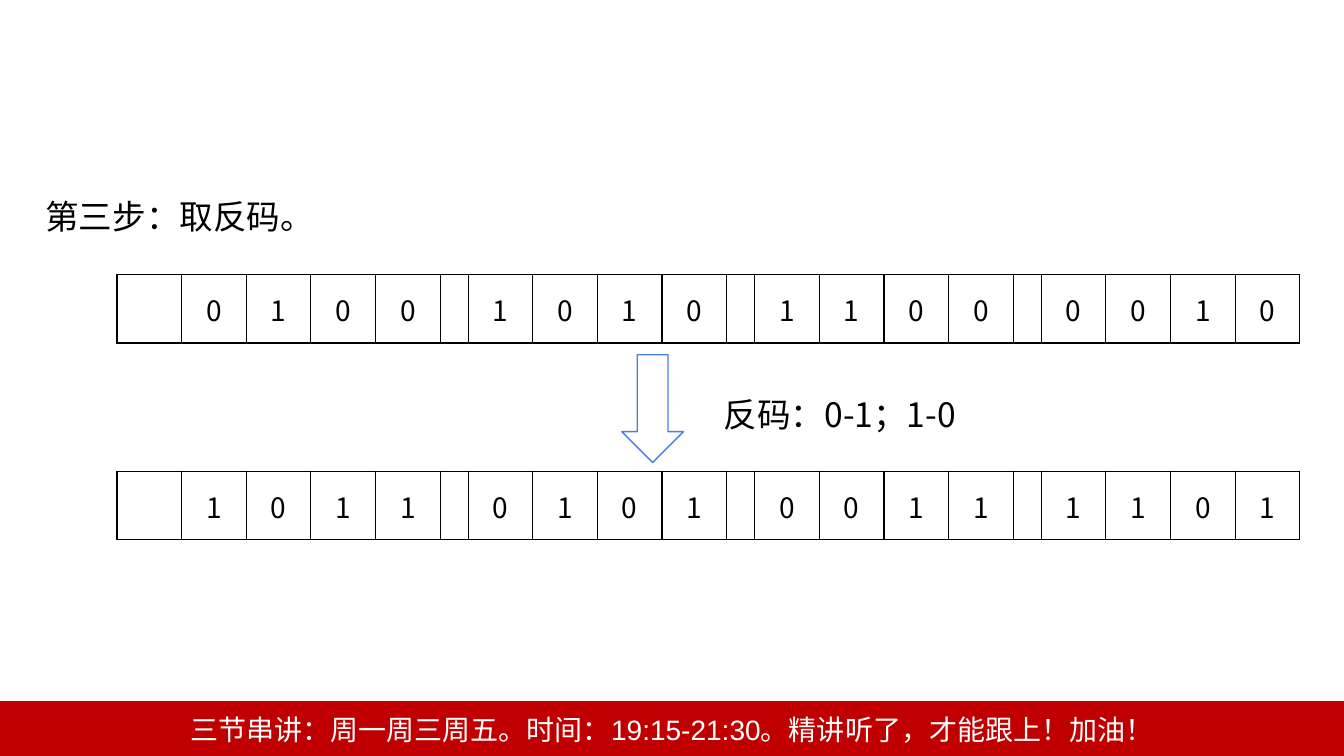
from dataclasses import dataclass

from lxml.etree import SubElement
from pptx import Presentation
from pptx.dml.color import RGBColor
from pptx.enum.shapes import MSO_SHAPE
from pptx.enum.text import MSO_ANCHOR, MSO_AUTO_SIZE, PP_ALIGN
from pptx.oxml.ns import qn
from pptx.slide import Slide
from pptx.table import _Cell
from pptx.text.text import TextFrame
from pptx.util import Pt

CJK = "Noto Sans CJK SC"
BLACK, WHITE, RED, BLUE = "000000", "FFFFFF", "C00000", "477DEA"
BIT_WIDTH, GAP_WIDTH, ROW_HEIGHT = 46.18, 20, 49


@dataclass
class BitRow:
    top: float
    nibbles: str


@dataclass
class Block:
    kind: MSO_SHAPE
    left: float
    top: float
    width: float
    height: float
    fill: str
    line: str
    text: str = ""


BIT_ROWS = [
    BitRow(196, "0100 1010 1100 0010"),
    BitRow(336.5, "1011 0101 0011 1101"),
]
BLOCKS = [
    Block(MSO_SHAPE.DOWN_ARROW, 444.2, 253.4, 44, 77, WHITE, BLUE),
    Block(MSO_SHAPE.RECTANGLE, 0, 501.3, 960, 38.7, RED, RED,
          "三节串讲：周一周三周五。时间：19:15-21:30。精讲听了，才能跟上！加油！"),
]


def rgb(value: str) -> RGBColor:
    return RGBColor.from_string(value)


def write(tf: TextFrame, text: str, size: float, color: str, align: PP_ALIGN,
          font: str = CJK, spacing: float = 1.0) -> None:
    p = tf.paragraphs[0]
    p.text = text
    p.alignment = align
    p.line_spacing = spacing
    p.font.size = Pt(size)
    p.font.color.rgb = rgb(color)
    p.font.name = font
    rpr = p._p.pPr.find(qn("a:defRPr"))
    SubElement(rpr, qn("a:ea")).set("typeface", CJK)


def write_label(s, left: float, top: float, width: float, text: str) -> None:
    s.left, s.top, s.width, s.height = Pt(left), Pt(top), Pt(width), Pt(51)
    tf = s.text_frame
    tf.word_wrap = True
    tf.auto_size = MSO_AUTO_SIZE.NONE
    tf.vertical_anchor = MSO_ANCHOR.TOP
    write(tf, text, 24, BLACK, PP_ALIGN.LEFT, spacing=1.5)


def add_borders(cell: _Cell, color: str) -> None:
    tcPr = cell._tc.get_or_add_tcPr()
    for i, side in enumerate(("lnL", "lnR", "lnT", "lnB")):
        ln = SubElement(tcPr, qn(f"a:{side}"), w=str(Pt(1)))
        fill = SubElement(ln, qn("a:solidFill"))
        SubElement(fill, qn("a:srgbClr"), val=color)
        tcPr.insert(i, ln)


def add_bit_row(slide: Slide, row: BitRow) -> None:
    bits = ["", *row.nibbles]
    widths = [GAP_WIDTH if bit == " " else BIT_WIDTH for bit in bits]
    frame = slide.shapes.add_table(1, len(bits), Pt(83.5), Pt(row.top),
                                   Pt(sum(widths)), Pt(ROW_HEIGHT))
    table = frame.table
    table.first_row = table.horz_banding = False
    table.rows[0].height = Pt(ROW_HEIGHT)
    for column, cell, bit, width in zip(table.columns, table.rows[0].cells, bits, widths):
        column.width = Pt(width)
        cell.fill.background()
        cell.vertical_anchor = MSO_ANCHOR.MIDDLE
        cell.margin_left = cell.margin_right = cell.margin_top = Pt(0.75)
        cell.margin_bottom = 0
        add_borders(cell, BLACK)
        if bit.strip():
            write(cell.text_frame, bit, 20, BLACK, PP_ALIGN.CENTER)


def add_block(slide: Slide, block: Block) -> None:
    s = slide.shapes.add_shape(block.kind, Pt(block.left), Pt(block.top),
                               Pt(block.width), Pt(block.height))
    s.shadow.inherit = False
    s.fill.solid()
    s.fill.fore_color.rgb = rgb(block.fill)
    s.line.color.rgb = rgb(block.line)
    s.line.width = Pt(1)
    if block.text:
        s.text_frame.vertical_anchor = MSO_ANCHOR.MIDDLE
        write(s.text_frame, block.text, 20, WHITE, PP_ALIGN.CENTER, "Arial")


def main() -> None:
    prs = Presentation()
    prs.slide_width, prs.slide_height = Pt(960), Pt(540)
    slide = prs.slides.add_slide(prs.slide_layouts[5])
    write_label(slide.shapes.title, 25.2, 121.7, 286, "第三步：取反码。")
    for row in BIT_ROWS:
        add_bit_row(slide, row)
    for block in BLOCKS:
        add_block(slide, block)
    note = slide.shapes.add_textbox(0, 0, 0, 0)
    write_label(note, 509.8, 263.5, 210, "反码：0-1；1-0")
    prs.save("out.pptx")


if __name__ == "__main__":
    main()
